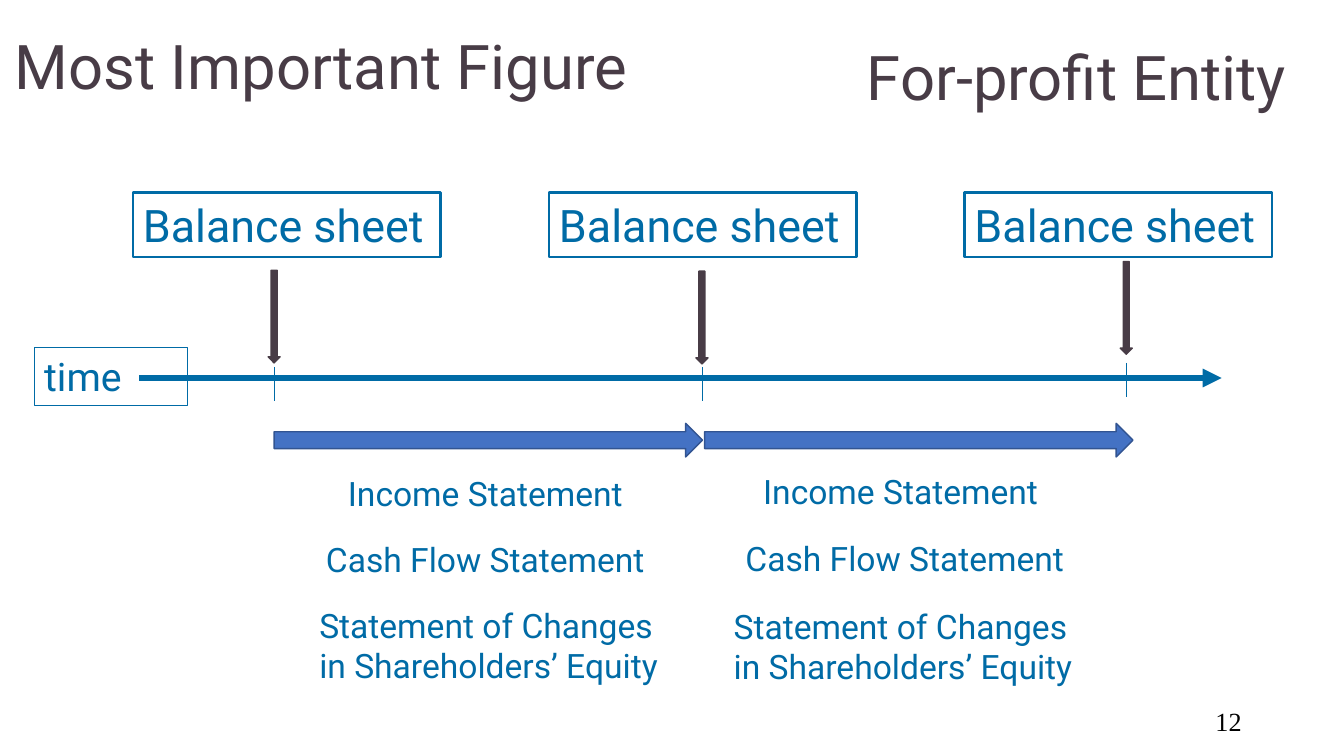
"""Build a slide showing financial statements of a for-profit entity along a timeline."""
from lxml import etree
from pptx import Presentation
from pptx.dml.color import RGBColor
from pptx.enum.shapes import MSO_CONNECTOR, MSO_SHAPE
from pptx.enum.text import MSO_ANCHOR, PP_ALIGN
from pptx.oxml.ns import qn
from pptx.util import Pt

STRAIGHT = MSO_CONNECTOR.STRAIGHT
DOWN_ARROW, RIGHT_ARROW = MSO_SHAPE.DOWN_ARROW, MSO_SHAPE.RIGHT_ARROW
TOP, MIDDLE = MSO_ANCHOR.TOP, MSO_ANCHOR.MIDDLE
LEFT, CENTER, RIGHT = PP_ALIGN.LEFT, PP_ALIGN.CENTER, PP_ALIGN.RIGHT
BLUE, DARK, BLACK = "006BA6", "483C46", "000000"
ARROW_FILL, ARROW_LINE = "4472C4", "325491"

presentation = Presentation()
presentation.slide_width, presentation.slide_height = Pt(960), Pt(540)
slide = presentation.slides.add_slide(presentation.slide_layouts[6])


def color(value):
    return RGBColor.from_string(value)


def add_text(box, lines, size, text_color=BLUE, align=LEFT, anchor=TOP,
             wrap=True, font="Roboto", spacing=None, border=None):
    shape = slide.shapes.add_textbox(*map(Pt, box))
    if border:
        shape.line.color.rgb = color(BLUE)
        shape.line.width = Pt(border)
    frame = shape.text_frame
    frame.word_wrap = wrap
    frame.vertical_anchor = anchor
    frame.text = "\n".join(lines)
    for paragraph in frame.paragraphs:
        paragraph.alignment = align
        paragraph.line_spacing = spacing
        paragraph.font.name = font
        paragraph.font.size = Pt(size)
        paragraph.font.color.rgb = color(text_color)


add_text((3.6, 15.8, 666.7, 68.4), ["Most Important Figure"], 44, DARK,
         anchor=MIDDLE, spacing=0.9)
add_text((612, 29.5, 326.9, 55.4), ["For-profit Entity"], 44, DARK,
         anchor=MIDDLE, spacing=0.9)
add_text((678, 500.4, 216, 28.8), ["12"], 18.7, BLACK, RIGHT, MIDDLE,
         font="Times New Roman")
add_text((24.5, 248.4, 109.4, 41), ["time"], 28, border=0.75)

for left in (95, 392.2, 689):
    add_text((left, 137.5, 219.6, 46.1), ["Balance sheet"], 32,
             wrap=False, border=2)

time_axis = (99.4, 270, 872.6, 270, 4.5)
ticks = [(x, y, x, y + 24.3, 0.75)
         for x, y in ((195.8, 262.1), (501.8, 262.1), (805, 259.2))]
for x1, y1, x2, y2, width in [time_axis, *ticks]:
    connector = slide.shapes.add_connector(STRAIGHT, Pt(x1), Pt(y1), Pt(x2), Pt(y2))
    connector.line.color.rgb = color(BLUE)
    connector.line.width = Pt(width)
    if width == 4.5:
        etree.SubElement(connector.line._get_or_add_ln(), qn("a:tailEnd"), type="triangle")
    etree.SubElement(connector._element.spPr, qn("a:effectLst"))

date_arrows = [(DOWN_ARROW, left, top, 8.6, 66.2, DARK, DARK)
               for left, top in ((191.5, 193), (497.1, 193.7), (800.2, 186.8))]
period_arrows = [(RIGHT_ARROW, left, 302.4, 306, 24, ARROW_FILL, ARROW_LINE)
                 for left in (195.8, 503.3)]
for kind, left, top, width, height, fill, outline in date_arrows + period_arrows:
    arrow = slide.shapes.add_shape(kind, Pt(left), Pt(top), Pt(width), Pt(height))
    arrow.shadow.inherit = False
    arrow.fill.solid()
    arrow.fill.fore_color.rgb = color(fill)
    arrow.line.color.rgb = color(outline)
    arrow.line.width = Pt(1)

for income, cash_flow, changes in (
    ((234, 334.1), (217.4, 381.6), (221, 428.4)),
    ((530.6, 332.6), (517, 380.9), (517, 429.1)),
):
    add_text((*income, 225.4, 36), ["Income Statement"], 24, align=CENTER)
    add_text((*cash_flow, 258.5, 36), ["Cash Flow Statement"], 24, align=CENTER)
    add_text((*changes, 268.6, 65.5),
             ["Statement of Changes", "in Shareholders’ Equity"], 24, wrap=False)

presentation.save("out.pptx")
